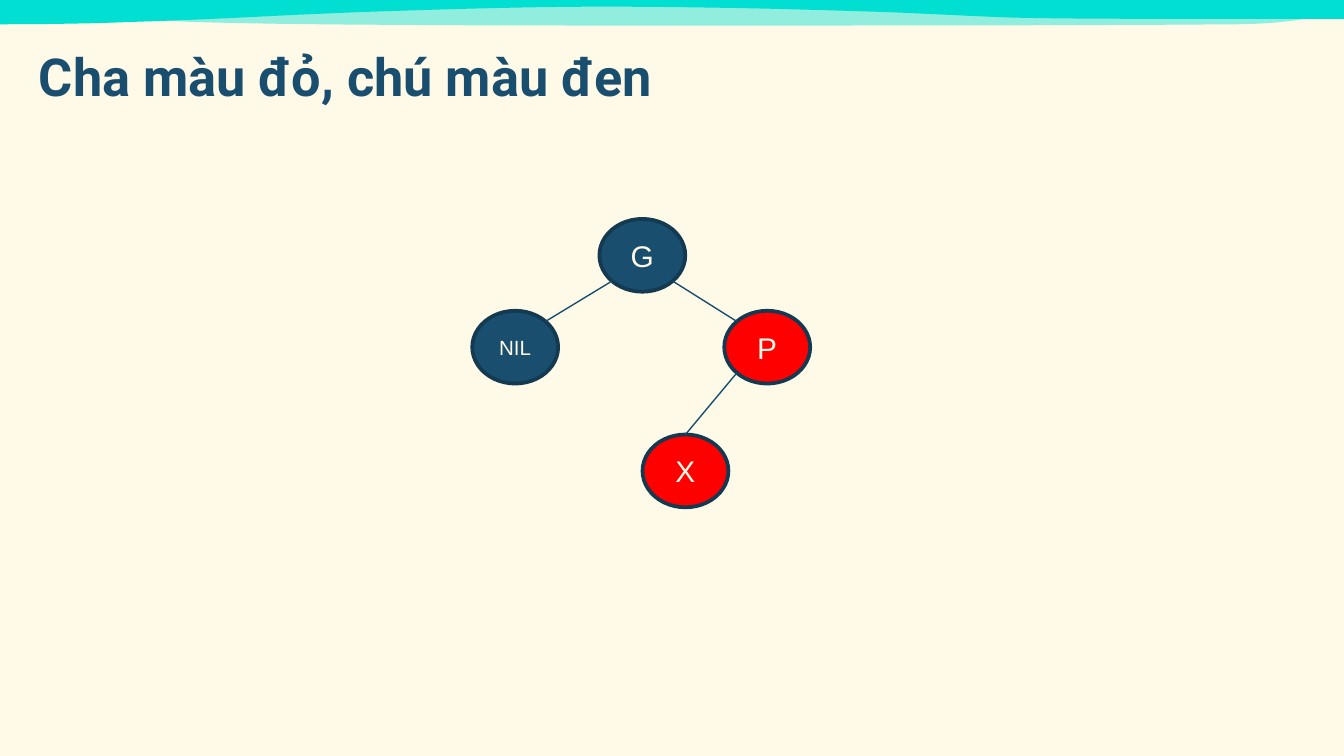
from math import sqrt

from lxml.etree import SubElement
from pptx import Presentation
from pptx.dml.color import RGBColor
from pptx.enum.shapes import MSO_CONNECTOR, MSO_SHAPE
from pptx.enum.text import MSO_ANCHOR, PP_ALIGN
from pptx.oxml.ns import qn
from pptx.util import Pt

COLORS = {
    "cream": "FFF9E7",
    "turquoise": "00DFD1",
    "navy": "1A4E6E",
    "outline": "133A51",
    "edge": "174D6E",
    "red": "FF0000",
}
PAGE_WIDTH, PAGE_HEIGHT = 720, 405
NODE_WIDTH, NODE_HEIGHT = 46, 39
DIAGONAL = 1 / sqrt(2)
CURVE_STEPS = 12

# Each curve is two control points and an end point.
TOP_WAVE = [
    ((25, 13), (50, 12.6), (75, 11.6)),
    ((125, 10.1), (163, 7.2), (214, 5.8)),
    ((250, 4.6), (287, 3.6), (323, 3.6)),
    ((375, 3.6), (425, 4.8), (475, 6.5)),
    ((497, 7.3), (519, 8.6), (541, 9.4)),
    ((572, 10.1), (605, 10.1), (638, 10.1)),
]
LOWER_WAVE = [
    ((715, 4.3), (708.5, 12.2), (664.6, 13)),
    ((591.8, 13.7), (452.9, 13.7), (329.8, 13.7)),
    ((224.6, 13.7), (130.3, 13), (96.5, 11.5)),
    ((63.4, 9.4), (70.6, 2.9), (70.6, 2.9)),
]

# label: (center x, center y, fill, text size)
NODES = {
    "G": (344.1, 136.8, "navy", 16),
    "NIL": (276, 186, "navy", 11),
    "P": (411, 186, "red", 16),
    "X": (367.2, 252.3, "red", 16),
}
# parent, direction on its rim, child, direction on its rim
EDGES = [
    ("G", (-DIAGONAL, DIAGONAL), "NIL", (DIAGONAL, -DIAGONAL)),
    ("G", (DIAGONAL, DIAGONAL), "P", (-DIAGONAL, -DIAGONAL)),
    ("P", (-DIAGONAL, DIAGONAL), "X", (0, -1)),
]


def color(name):
    return RGBColor.from_string(COLORS[name])


def paint(fill, name):
    fill.solid()
    fill.fore_color.rgb = color(name)


def add_span(para, text, font, size, color_name, bold=False):
    span = para.add_run()
    span.text = text
    span.font.name = font
    span.font.size = Pt(size)
    span.font.bold = bold
    span.font.color.rgb = color(color_name)


def curve_points(start, curves):
    """Return points along a chain of cubic Bézier curves."""
    points = [start]
    for first, second, end in curves:
        for step in range(1, CURVE_STEPS + 1):
            t = step / CURVE_STEPS
            weights = ((1 - t) ** 3, 3 * t * (1 - t) ** 2, 3 * t**2 * (1 - t), t**3)
            corners = (start, first, second, end)
            points.append(tuple(
                sum(weight * corner[axis] for weight, corner in zip(weights, corners))
                for axis in (0, 1)
            ))
        start = end
    return points


def add_wave(page, points, opacity=100):
    start, *others = [(Pt(x), Pt(y)) for x, y in points]
    builder = page.shapes.build_freeform(*start)
    builder.add_line_segments(others, close=True)
    wave = builder.convert_to_shape()
    wave.shadow.inherit = False
    paint(wave.fill, "turquoise")
    wave.line.fill.background()
    if opacity < 100:
        tint = wave._element.spPr.find(qn("a:solidFill"))[0]
        SubElement(tint, qn("a:alpha"), val=str(opacity * 1000))


def set_title(page, text):
    title = page.shapes.title
    title.left, title.top = Pt(13.7), Pt(0)
    title.width, title.height = Pt(683.3), Pt(64.8)
    box = title.text_frame
    box.word_wrap = True
    box.vertical_anchor = MSO_ANCHOR.BOTTOM
    box.margin_left = box.margin_right = Pt(7.2)
    box.margin_top = box.margin_bottom = Pt(7.2)
    para = box.paragraphs[0]
    para.alignment = PP_ALIGN.LEFT
    add_span(para, text, "Roboto", 28, "navy", bold=True)


def add_node(page, label):
    x, y, fill, size = NODES[label]
    node = page.shapes.add_shape(
        MSO_SHAPE.OVAL, Pt(x - NODE_WIDTH / 2), Pt(y - NODE_HEIGHT / 2),
        Pt(NODE_WIDTH), Pt(NODE_HEIGHT))
    node.shadow.inherit = False
    paint(node.fill, fill)
    node.line.color.rgb = color("outline")
    node.line.width = Pt(2)
    box = node.text_frame
    box.vertical_anchor = MSO_ANCHOR.MIDDLE
    box.margin_left = box.margin_right = Pt(0)
    para = box.paragraphs[0]
    para.alignment = PP_ALIGN.CENTER
    add_span(para, label, "Arial", size, "cream")


def rim_point(label, direction):
    x, y = NODES[label][:2]
    across, down = direction
    return Pt(x + across * NODE_WIDTH / 2), Pt(y + down * NODE_HEIGHT / 2)


def add_edge(page, parent, parent_side, child, child_side):
    edge = page.shapes.add_connector(
        MSO_CONNECTOR.STRAIGHT,
        *rim_point(parent, parent_side), *rim_point(child, child_side))
    edge.line.color.rgb = color("edge")
    edge.line.width = Pt(0.75)
    SubElement(edge._element.spPr, qn("a:effectLst"))


def main():
    deck = Presentation()
    deck.slide_width, deck.slide_height = Pt(PAGE_WIDTH), Pt(PAGE_HEIGHT)
    page = deck.slides.add_slide(deck.slide_layouts[5])
    paint(page.background.fill, "cream")
    top_edge = [(PAGE_WIDTH, 10.1), (PAGE_WIDTH, 0), (0, 0)]
    add_wave(page, curve_points((0, 13), TOP_WAVE) + top_edge)
    add_wave(page, [(70.6, 2.9)] + curve_points((715, 4.3), LOWER_WAVE), opacity=43)
    set_title(page, "Cha màu đỏ, chú màu đen")
    for label in NODES:
        add_node(page, label)
    for edge in EDGES:
        add_edge(page, *edge)
    deck.save("out.pptx")


if __name__ == "__main__":
    main()
